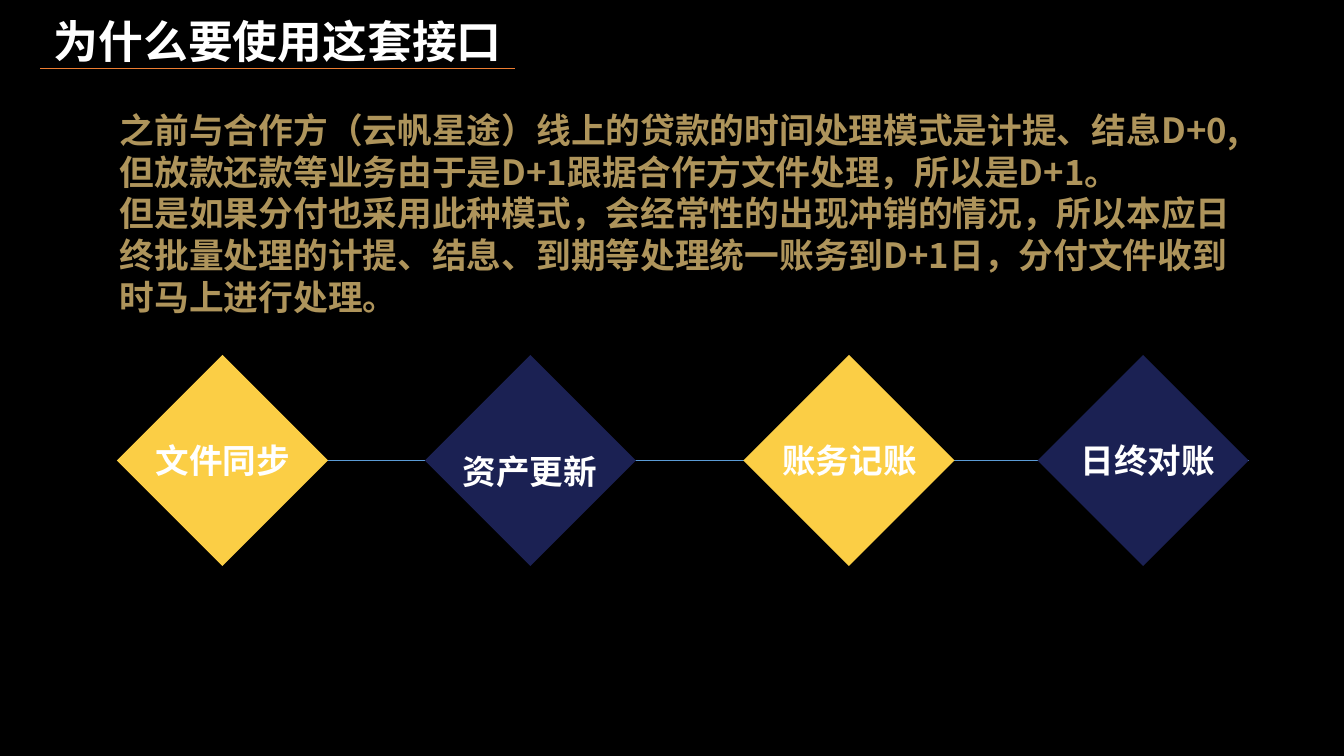
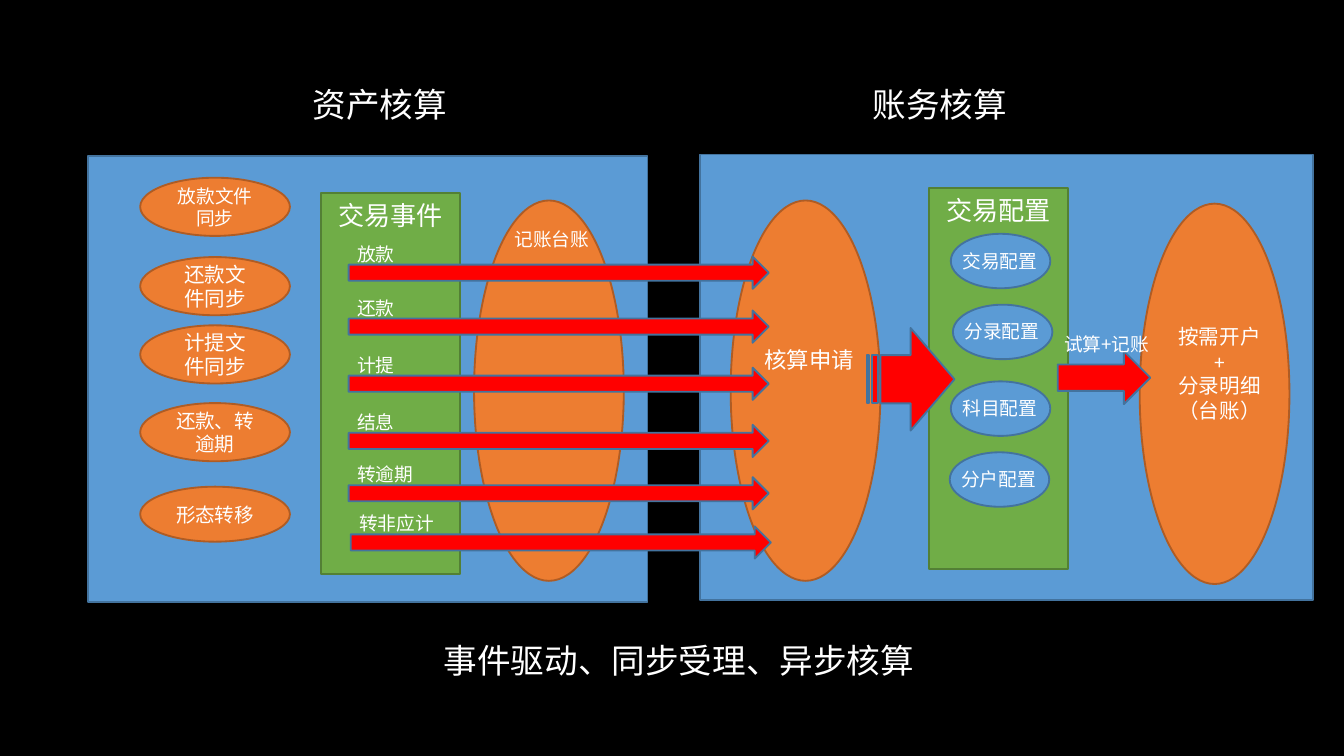
from lxml import etree
from pptx import Presentation
from pptx.dml.color import RGBColor
from pptx.enum.shapes import MSO_CONNECTOR, MSO_SHAPE
from pptx.enum.text import MSO_ANCHOR, MSO_AUTO_SIZE, PP_ALIGN
from pptx.oxml.ns import qn
from pptx.util import Cm, Pt

DIAMOND, OVAL, RECT = MSO_SHAPE.DIAMOND, MSO_SHAPE.OVAL, MSO_SHAPE.RECTANGLE
ARROW, STRIPED_ARROW = MSO_SHAPE.RIGHT_ARROW, MSO_SHAPE.STRIPED_RIGHT_ARROW
STRAIGHT = MSO_CONNECTOR.STRAIGHT
LEFT, CENTER = PP_ALIGN.LEFT, PP_ALIGN.CENTER
TOP, MIDDLE = MSO_ANCHOR.TOP, MSO_ANCHOR.MIDDLE
NO_AUTOFIT = MSO_AUTO_SIZE.NONE

CJK, LATIN = "Noto Sans CJK SC", "Calibri"
COLORS = {
    "black": "000000", "white": "FFFFFF", "gold": "AE945B",
    "yellow": "FBCE45", "navy": "1B2153", "red": "FF0000",
    "blue": "5B9BD5", "blue edge": "43739E",
    "orange": "ED7D31", "orange edge": "AF5C24",
    "green": "70AD47", "green edge": "538035",
}
COLORS = {name: RGBColor.from_string(value) for name, value in COLORS.items()}


def draw(slide, kind, box, fill, outlined=True):
    """Add a preset shape; box is left, top, width, height in cm."""
    shape = slide.shapes.add_shape(kind, *map(Cm, box))
    shape.shadow.inherit = False
    shape.fill.solid()
    shape.fill.fore_color.rgb = COLORS[fill]
    if outlined:
        edge = "blue edge" if fill == "red" else f"{fill} edge"
        shape.line.color.rgb = COLORS[edge]
        shape.line.width = Pt(1)
    else:
        shape.line.fill.background()
    return shape


def write(holder, text, size=10, font=CJK, color="white", bold=False,
          align=LEFT, anchor=TOP, wrap=True, box=None):
    """Fill a shape with text, one paragraph a line; box moves it (cm)."""
    if box:
        holder.left, holder.top, holder.width, holder.height = map(Cm, box)
    frame = holder.text_frame
    frame.text = text
    frame.auto_size = NO_AUTOFIT
    frame.word_wrap = wrap
    frame.vertical_anchor = anchor
    for paragraph in frame.paragraphs:
        paragraph.alignment = align
        paragraph.space_before = Pt(0)
        style = paragraph.runs[0].font
        style.name, style.size, style.bold = font, Pt(size), bold
        style.color.rgb = COLORS[color]


prs = Presentation()
prs.slide_width, prs.slide_height = Cm(25.4), Cm(14.29)
background = prs.slide_master.background.fill
background.solid()
background.fore_color.rgb = COLORS["black"]

# Slide 1: reasons and the four steps
reasons = prs.slides.add_slide(prs.slide_layouts[1])
write(reasons.shapes.title, "为什么要使用这套接口", size=24, bold=True,
      box=(0.76, 0.13, 10.0, 1.2))

explanation = reasons.placeholders[1]
write(explanation,
      "之前与合作方（云帆星途）线上的贷款的时间处理模式是计提、结息D+0,"
      "但放款还款等业务由于是D+1跟据合作方文件处理，所以是D+1。\n"
      "但是如果分付也采用此种模式，会经常性的出现冲销的情况，"
      "所以本应日终批量处理的计提、结息、到期等处理统一账务到D+1日，"
      "分付文件收到时马上进行处理。",
      size=18.6, color="gold", bold=True, box=(2.01, 1.93, 21.97, 4.24))
for paragraph in explanation.text_frame.paragraphs:
    properties = paragraph._p.get_or_add_pPr()
    properties.set("marL", "0")
    properties.set("indent", "0")
    etree.SubElement(properties, qn("a:buNone"))

for start, end, y, color in [(0.76, 9.73, 1.3, "orange"),
                             (2.21, 23.6, 8.71, "blue")]:
    rule = reasons.shapes.add_connector(
        STRAIGHT, Cm(start), Cm(y), Cm(end), Cm(y))
    rule.line.color.rgb = COLORS[color]
    rule.line.width = Pt(0.5)
    etree.SubElement(rule._element.spPr, qn("a:effectLst"))

STEPS = [  # label, diamond left, fill, label left, top, width
    ("文件同步", 2.21, "yellow", 2.59, 8.2, 3.25),
    ("资产更新", 8.03, "navy", 8.46, 8.4, 3.1),
    ("账务记账", 14.05, "yellow", 14.48, 8.2, 3.15),
    ("日终对账", 19.61, "navy", 19.79, 8.2, 3.81),
]
for label, left, fill, label_left, label_top, label_width in STEPS:
    draw(reasons, DIAMOND, (left, 6.71, 3.99, 3.99), fill, outlined=False)
    caption = reasons.shapes.add_textbox(
        *map(Cm, (label_left, label_top, label_width, 1.02)))
    write(caption, label, size=18, bold=True, align=CENTER)

# Slide 2: flow from asset accounting to ledger accounting
flow = prs.slides.add_slide(prs.slide_layouts[5])
write(flow.shapes.title, "事件驱动、同步受理、异步核算", size=18,
      box=(8.13, 11.96, 10.0, 1.02))

draw(flow, RECT, (13.23, 2.92, 11.58, 8.43), "blue")
draw(flow, RECT, (1.67, 2.95, 10.57, 8.43), "blue")

SYNC_TASKS = [  # label, top, height, text size
    ("放款文件同步", 3.36, 1.1, 10),
    ("还款文件同步", 4.86, 1.1, 11),
    ("计提文件同步", 6.15, 1.1, 11),
    ("还款、转逾期", 7.62, 1.1, 10.5),
    ("形态转移", 9.2, 1.04, 10.5),
]
for label, top, height, size in SYNC_TASKS:
    task = draw(flow, OVAL, (2.65, top, 2.83, height), "orange")
    write(task, label, size=size, font=LATIN, align=CENTER, anchor=MIDDLE)

for label, left, top in [("交易事件", 6.07, 3.65), ("交易配置", 17.56, 3.55)]:
    column = draw(flow, RECT, (left, top, 2.63, 7.2), "green")
    write(column, label, size=14, font=LATIN, align=CENTER)

for left, top in [(8.96, 3.79), (13.81, 3.79), (21.54, 3.85)]:
    draw(flow, OVAL, (left, top, 2.83, 7.19), "orange")

EVENTS = [  # label, arrow left, arrow top
    ("放款", 6.59, 4.85), ("还款", 6.59, 5.87), ("计提", 6.59, 6.95),
    ("结息", 6.59, 8.03), ("转逾期", 6.59, 9.02), ("转非应计", 6.63, 9.95),
]
for label, left, top in EVENTS:
    draw(flow, ARROW, (left, top, 7.94, 0.61), "red")
    caption = flow.shapes.add_textbox(
        *map(Cm, (left - 0.09, top - 0.39, 2.08, 0.69)))
    write(caption, label)

CONFIGS = [  # label, left, top
    ("交易配置", 17.97, 4.42), ("分录配置", 18.01, 5.76),
    ("科目配置", 17.97, 7.21), ("分户配置", 17.95, 8.55),
]
for label, left, top in CONFIGS:
    draw(flow, OVAL, (left, top, 1.88, 1.03), "blue")
    caption = flow.shapes.add_textbox(
        *map(Cm, (left - 0.03, top + 0.17, 1.93, 0.69)))
    write(caption, label, wrap=False)

draw(flow, ARROW, (19.99, 6.64, 1.75, 1.0), "red")
request_arrow = draw(flow, STRIPED_ARROW, (16.38, 6.2, 1.66, 1.94), "red")
request_arrow.adjustments[0] = 0.47

CAPTIONS = [  # text, box, format
    ("资产核算", (5.66, 1.47, 3.07, 1.02), {"size": 18, "wrap": False}),
    ("账务核算", (16.24, 1.47, 3.07, 1.02), {"size": 18, "wrap": False}),
    ("记账台账", (9.48, 4.19, 1.93, 0.69), {"wrap": False}),
    ("试算+记账", (19.86, 6.17, 2.69, 1.63), {}),
    ("核算申请", (14.2, 6.42, 2.24, 0.76),
     {"size": 12, "font": LATIN, "wrap": False}),
    ("按需开户\n+\n分录明细\n（台账）", (21.93, 6.0, 2.24, 2.62),
     {"size": 11, "font": LATIN, "align": CENTER, "wrap": False}),
]
for text, box, text_format in CAPTIONS:
    write(flow.shapes.add_textbox(*map(Cm, box)), text, **text_format)

prs.save("out.pptx")
